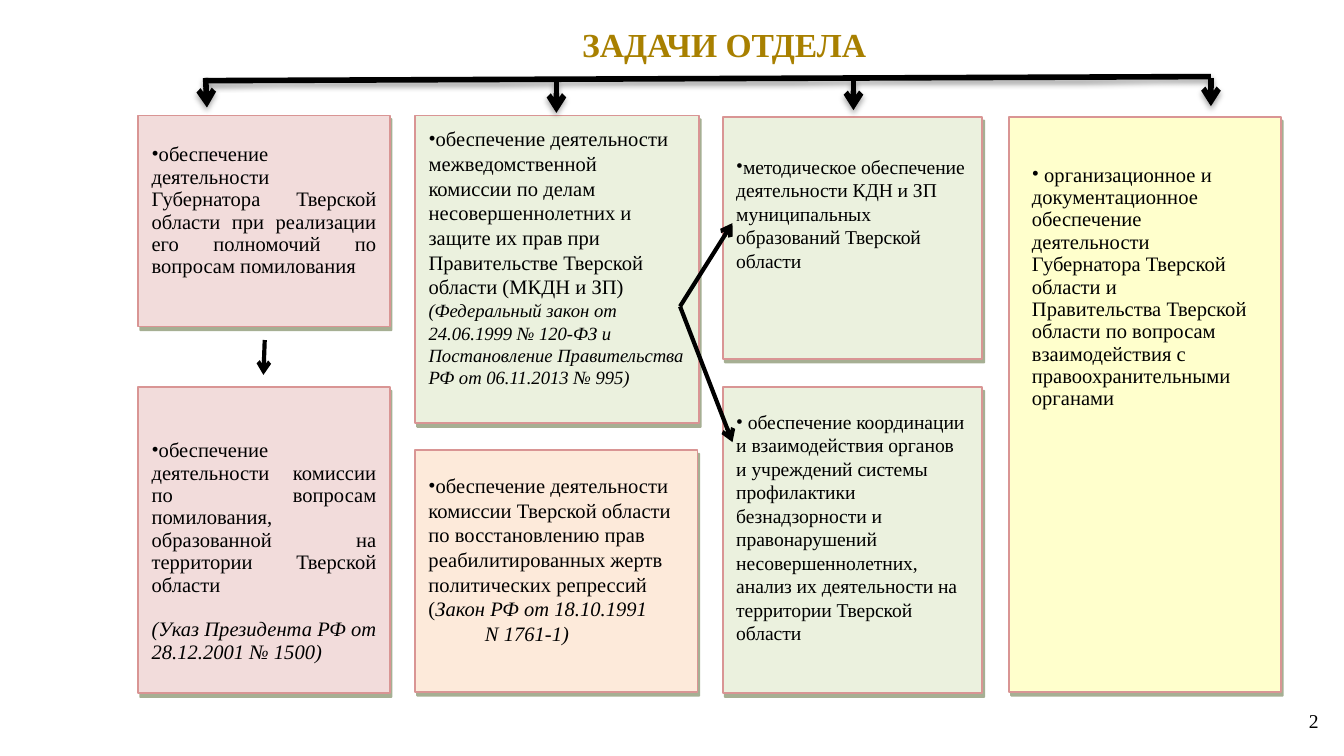
"""Build the slide showing the tasks of the department."""
import pptx
import pptx.dml.color
import pptx.enum.shapes
import pptx.enum.text
import pptx.util
import lxml.etree
from pptx.util import Inches, Pt
from pptx.oxml.ns import qn

FONT = "Times New Roman"
ALIGN = pptx.enum.text.PP_ALIGN
ANCHOR = pptx.enum.text.MSO_ANCHOR


def color(code):
    return pptx.dml.color.RGBColor.from_string(code)


def effect(shape, code=None, alpha=0, blur=0, dist=0, angle=0):
    group = lxml.etree.SubElement(shape._element.spPr, qn("a:effectLst"))
    if code:
        shade = lxml.etree.SubElement(
            group, qn("a:outerShdw"), blurRad=str(Pt(blur)), dist=str(Pt(dist)),
            dir=str(angle * 60000), algn="tl", rotWithShape="0")
        tint = lxml.etree.SubElement(shade, qn("a:srgbClr"), val=code)
        lxml.etree.SubElement(tint, qn("a:alpha"), val=str(alpha * 1000))


deck = pptx.Presentation()
deck.slide_width, deck.slide_height = Inches(10), Inches(10 * 9 / 16)
slide = deck.slides.add_slide(deck.slide_layouts[6])
shapes = slide.shapes

labels = [
    ("ЗАДАЧИ ОТДЕЛА", 0.81, 0.02, 9.16, 0.62, 18, "A88000", True, ALIGN.CENTER),
    ("2", 7.58, 5.21, 2.33, 0.3, 10.5, "000000", False, ALIGN.RIGHT),
]
for text, left, top, width, height, size, ink, bold, align in labels:
    label = shapes.add_textbox(Inches(left), Inches(top), Inches(width), Inches(height))
    frame = label.text_frame
    frame.word_wrap = True
    frame.vertical_anchor = ANCHOR.MIDDLE
    para = frame.paragraphs[0]
    para.text, para.alignment = text, align
    font = para.font
    font.name, font.size, font.bold = FONT, Pt(size), bold
    font.color.rgb = color(ink)

PINK, GREEN, PEACH, YELLOW = "F2DCDB", "EBF1DE", "FDEADA", "FFFFCC"
boxes = [
    (1.03, 0.86, 1.87, 1.57, PINK, 0.21, 11, 12, ALIGN.JUSTIFY,
     "обеспечение деятельности Губернатора Тверской области при реализации его "
     "полномочий по вопросам помилования", []),
    (1.03, 2.88, 1.87, 2.28, PINK, 0.39, 11, 12, ALIGN.JUSTIFY,
     "обеспечение деятельности комиссии по вопросам помилования, образованной на "
     "территории Тверской области",
     [("(Указ Президента РФ от 28.12.2001 № 1500)", 11, 12, 0)]),
    (3.09, 0.86, 2.11, 2.29, GREEN, 0.08, 11, None, ALIGN.LEFT,
     "обеспечение деятельности межведомственной комиссии по делам "
     "несовершеннолетних и защите их прав при Правительстве Тверской области "
     "(МКДН и ЗП)",
     [("(Федеральный закон от 24.06.1999 № 120-ФЗ и Постановление Правительства "
       "РФ от 06.11.2013 № 995)", 10, 0, 0)]),
    (3.09, 3.35, 2.1, 1.8, PEACH, 0.17, 11, None, ALIGN.LEFT,
     "обеспечение деятельности комиссии Тверской области по восстановлению прав "
     "реабилитированных жертв политических репрессий",
     [("(Закон РФ от 18.10.1991", 11, 0, 0), ("N 1761-1)", 11, 0, 0.42)]),
    (5.38, 0.87, 1.93, 1.8, GREEN, 0.28, 10.5, None, ALIGN.LEFT,
     "методическое обеспечение деятельности КДН и ЗП муниципальных образований "
     "Тверской области", []),
    (5.38, 2.88, 1.93, 2.28, GREEN, 0.17, 10.5, None, ALIGN.LEFT,
     " обеспечение координации и взаимодействия органов и учреждений системы "
     "профилактики безнадзорности и правонарушений несовершеннолетних, анализ их "
     "деятельности на территории Тверской области", []),
    (7.51, 0.87, 2.02, 4.28, YELLOW, 0, 11, None, ALIGN.LEFT, "", []),
    (7.58, 1.17, 1.83, 1.95, None, 0.05, 11, 12, ALIGN.LEFT,
     " организационное и документационное обеспечение деятельности Губернатора "
     "Тверской области и Правительства Тверской области по вопросам "
     "взаимодействия с правоохранительными органами", []),
]
for left, top, width, height, fill, inset, size, pitch, align, task, laws in boxes:
    place = [Inches(n) for n in (left, top, width, height)]
    if fill:
        box = shapes.add_shape(pptx.enum.shapes.MSO_SHAPE.RECTANGLE, *place)
        box.fill.solid()
        box.fill.fore_color.rgb = color(fill)
        box.line.color.rgb = color("D99594")
        box.line.width = Pt(1)
        effect(box, "4E6128", 50, 0, 2.2, 63)
    else:
        box = shapes.add_textbox(*place)
    if not task:
        continue
    frame = box.text_frame
    frame.word_wrap = True
    frame.vertical_anchor = ANCHOR.TOP
    frame.margin_top = Inches(inset)
    frame.margin_right = Inches(0.11 if width == 2.11 else 0.1)
    for row, (text, points, gap, indent) in enumerate([(task, size, 0, 0)] + laws):
        para = frame.add_paragraph() if row else frame.paragraphs[0]
        para.alignment = align
        para.space_before = Pt(gap)
        if pitch:
            para.line_spacing = Pt(pitch)
        font = para.font
        font.name, font.size = FONT, Pt(points)
        font.color.rgb = color("000000")
        props = para._p.get_or_add_pPr()
        props.set("marL", str(Inches(indent)))
        props.set("indent", "0")
        if row == 0:
            last = props.find(qn("a:defRPr"))
            last.addprevious(lxml.etree.Element(qn("a:buFont"), typeface=FONT))
            last.addprevious(lxml.etree.Element(qn("a:buChar"), char="•"))
        if text.startswith("(Закон"):
            para.add_run().text = "("
            text = text[1:]
        run = para.add_run()
        run.text = text
        if row:
            run.font.italic = True

lines = [
    (1.53, 0.6, 9.01, 0.57, 3, False),
    (1.53, 0.58, 1.54, 0.8, 3, True),
    (4.14, 0.61, 4.14, 0.84, 3, True),
    (6.35, 0.6, 6.35, 0.82, 3, True),
    (9.01, 0.58, 9.01, 0.79, 3, True),
    (1.97, 2.53, 1.96, 2.79, 2.25, True),
    (5.06, 2.28, 5.45, 3.29, 2.25, True),
    (5.06, 2.28, 5.45, 1.66, 2.25, True),
]
for *ends, weight, tip in lines:
    line = shapes.add_connector(
        pptx.enum.shapes.MSO_CONNECTOR.STRAIGHT, *[Inches(n) for n in ends])
    line.line.color.rgb = color("000000")
    line.line.width = Pt(weight)
    if tip:
        lxml.etree.SubElement(line.line._get_or_add_ln(), qn("a:tailEnd"), type="arrow")
    if weight == 3:
        effect(line, "000000", 35, 3.1, 1.8, 90)
    else:
        effect(line)

deck.save("out.pptx")
